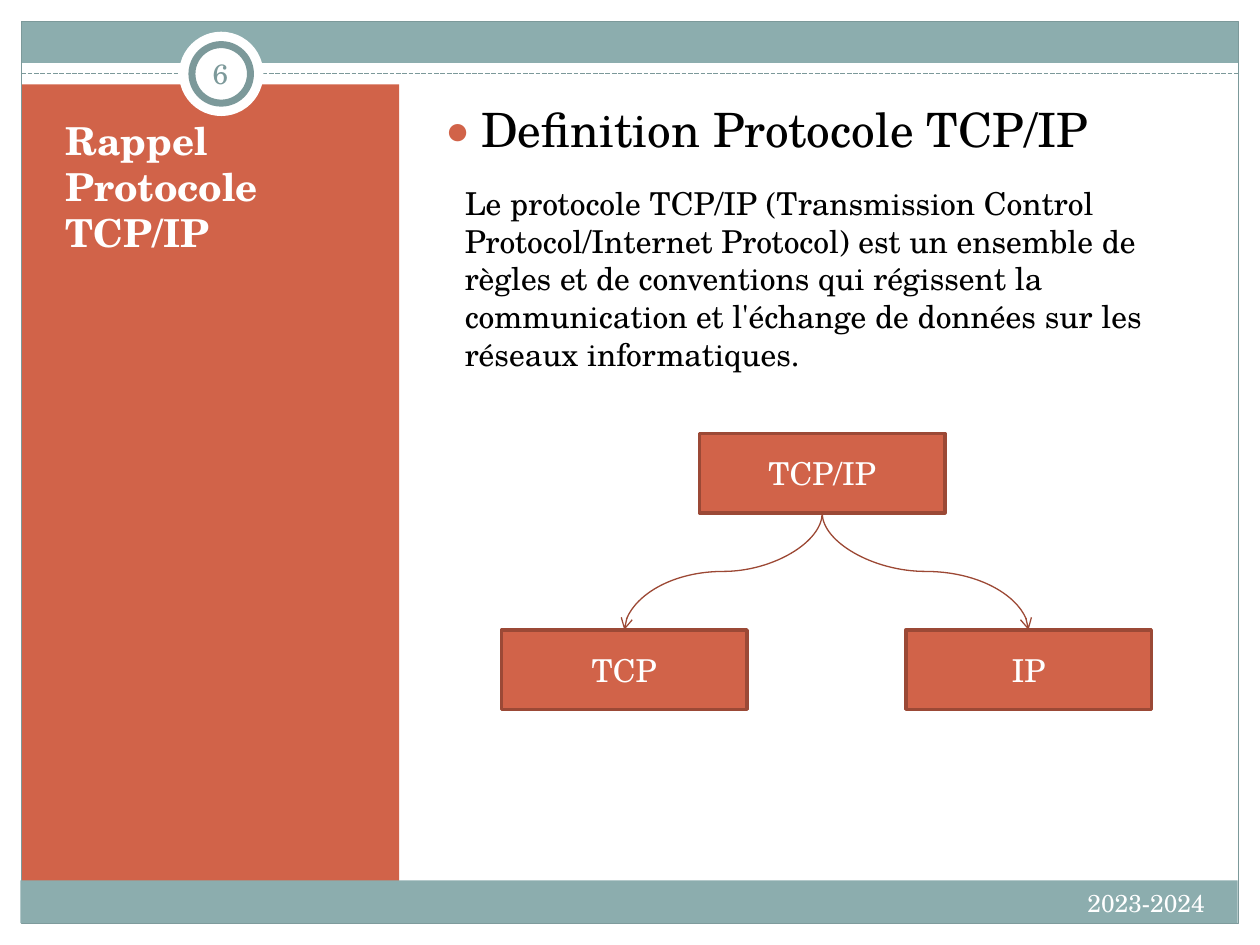
"""Build the TCP/IP reminder slide."""
from lxml import etree
from pptx import Presentation
from pptx import util as u
from pptx.dml.color import RGBColor
from pptx.enum import dml, shapes, text
from pptx.oxml.ns import qn

FONT = "TeX Gyre Schola"
TEAL, DARK_TEAL, RUST, DARK_RUST = "8CADAE", "7C999A", "D16349", "9B4936"
WHITE, BLACK = "FFFFFF", "000000"
RECT, OVAL = shapes.MSO_SHAPE.RECTANGLE, shapes.MSO_SHAPE.OVAL
LEFT, CENTER, RIGHT = text.PP_ALIGN.LEFT, text.PP_ALIGN.CENTER, text.PP_ALIGN.RIGHT
TOP, MIDDLE, BOTTOM = (text.MSO_ANCHOR.TOP, text.MSO_ANCHOR.MIDDLE,
                       text.MSO_ANCHOR.BOTTOM)
MARGINS = ("margin_left", "margin_top", "margin_right", "margin_bottom")
NODE_W, NODE_H = 4.95, 1.6


def color(target, value):
    """Give a colour format its hex value."""
    target.rgb = RGBColor.from_string(value)


def assign(target, values):
    """Set attributes from a dict of format values."""
    for name, value in values.items():
        setattr(target, name, value)


def place(item, box):
    """Set left, top, width and height in centimetres."""
    assign(item, dict(zip(("left", "top", "width", "height"), map(u.Cm, box))))


def write(item, words, size, ink, align=LEFT, anchor=TOP, bold=False, margin=None):
    """Write one formatted paragraph into a shape and return it."""
    frame = item.text_frame
    assign(frame, {"text": words, "word_wrap": True, "vertical_anchor": anchor,
                   "auto_size": text.MSO_AUTO_SIZE.NONE})
    if margin is not None:
        assign(frame, dict.fromkeys(MARGINS, u.Cm(margin)))
    paragraph = frame.paragraphs[0]
    paragraph.alignment = align
    font = paragraph.runs[0].font
    assign(font, {"name": FONT, "size": u.Pt(size), "bold": bold})
    color(font.color, ink)
    return paragraph


def stroke(line, ink, width):
    """Colour and size a line."""
    line.fill.solid()
    color(line.fill.fore_color, ink)
    line.width = u.Pt(width)


def add_block(slide, kind, box, fill=None, ink=None, width=0.75):
    """Add a flat preset shape."""
    block = slide.shapes.add_shape(kind, *map(u.Cm, box))
    block.shadow.inherit = False
    if fill:
        block.fill.solid()
        color(block.fill.fore_color, fill)
    else:
        block.fill.background()
    if ink:
        stroke(block.line, ink, width)
    else:
        block.line.fill.background()
    return block


def add_label(slide, box, words, size, ink, **style):
    """Add a text box and return its paragraph."""
    label = slide.shapes.add_textbox(*map(u.Cm, box))
    return write(label, words, size, ink, **style)


def add_bullet(paragraph, ink, indent):
    """Give a paragraph a hanging round bullet."""
    props = paragraph._p.get_or_add_pPr()
    props.set("marL", str(u.Cm(indent)))
    props.set("indent", str(-u.Cm(indent)))
    tint = etree.SubElement(props, qn("a:buClr"))
    etree.SubElement(tint, qn("a:srgbClr"), val=ink)
    etree.SubElement(props, qn("a:buSzPct"), val="85000")
    etree.SubElement(props, qn("a:buFont"), typeface=FONT)
    etree.SubElement(props, qn("a:buChar"), char="●")


def add_line(slide, kind, start, end, ink, width):
    """Add a connector without a shadow."""
    line = slide.shapes.add_connector(kind, *map(u.Cm, start + end))
    stroke(line.line, ink, width)
    etree.SubElement(line._element.spPr, qn("a:effectLst"))
    return line


def add_node(slide, left, top, words):
    """Add a diagram box."""
    node = add_block(slide, RECT, (left, top, NODE_W, NODE_H), RUST, DARK_RUST, 2)
    write(node, words, 18, WHITE, align=CENTER, anchor=MIDDLE)
    return node


def add_branch(slide, parent, child):
    """Join parent bottom to child top with a curved arrow."""
    start = (parent.left.cm + NODE_W / 2, parent.top.cm + NODE_H)
    end = (child.left.cm + NODE_W / 2, child.top.cm)
    branch = add_line(slide, shapes.MSO_CONNECTOR.CURVE, start, end, "9C4834", 0.75)
    branch.begin_connect(parent, 2)
    branch.end_connect(child, 0)
    drop, reach = end[1] - start[1], end[0] - start[0]
    middle = [(a + b) / 2 for a, b in zip(start, end)]
    place(branch, (middle[0] - drop / 2, middle[1] - abs(reach) / 2,
                   drop, abs(reach)))
    frame = branch._element.spPr.find(qn("a:xfrm"))
    frame.set("rot", str((90 if reach < 0 else 270) * 60000))
    frame.set("flipH", "0" if reach < 0 else "1")
    frame.set("flipV", "0")
    etree.SubElement(branch.line._get_or_add_ln(), qn("a:tailEnd"), type="arrow")


def add_frame(slide):
    """Draw the bands, side panel, border and number badge."""
    for box, fill in (((0.43, 0.43, 24.54, 0.84), TEAL),
                      ((0, 18.62, 25.4, 0.43), WHITE),
                      ((24.97, 0, 0.43, 19.05), WHITE),
                      ((0, 0, 25.4, 0.33), WHITE),
                      ((0, 0, 0.43, 19.05), WHITE),
                      ((0.43, 1.7, 7.62, 16.31), RUST)):
        add_block(slide, RECT, box, fill)
    add_block(slide, RECT, (0.43, 0.43, 24.54, 18.19), ink=DARK_TEAL)
    rule = add_line(slide, shapes.MSO_CONNECTOR.STRAIGHT, (0.43, 1.48),
                    (24.97, 1.48), DARK_TEAL, 0.9)
    rule.line.dash_style = dml.MSO_LINE.SQUARE_DOT
    add_block(slide, OVAL, (3.61, 0.64, 1.7, 1.7), WHITE)
    add_block(slide, OVAL, (3.87, 0.9, 1.18, 1.18), WHITE, DARK_TEAL, 4)
    add_block(slide, RECT, (0.41, 17.75, 24.54, 0.86), TEAL)


def add_texts(slide):
    """Write the title, heading, definition, number and year."""
    title = slide.shapes.title
    slide.shapes._spTree.append(title._element)
    place(title, (1.07, 2.54, 6.55, 2.74))
    write(title, "Rappel Protocole TCP/IP", 22, WHITE, anchor=BOTTOM, bold=True)
    heading = add_label(slide, (8.69, 1.9, 15.67, 15.04),
                        "Definition Protocole TCP/IP", 27, BLACK)
    add_bullet(heading, RUST, 0.76)
    add_label(slide, (3.81, 0.86, 1.27, 1.22), "6", 16, DARK_TEAL,
              align=CENTER, anchor=MIDDLE, margin=0.13)
    add_label(slide, (16.08, 17.78, 8.46, 1.02), "2023-2024", 14, WHITE, align=RIGHT)
    add_label(slide, (9.12, 3.58, 15.88, 3.33),
              "Le protocole TCP/IP (Transmission Control Protocol/Internet "
              "Protocol) est un ensemble de règles et de conventions qui "
              "régissent la communication et l'échange de données sur les "
              "réseaux informatiques.", 18, BLACK)


def main():
    """Build and save the slide."""
    deck = Presentation()
    assign(deck, {"slide_width": u.Cm(25.4), "slide_height": u.Cm(19.05)})
    slide = deck.slides.add_slide(deck.slide_layouts[5])
    add_frame(slide)
    add_texts(slide)
    suite = add_node(slide, 14.1, 8.74, "TCP/IP")
    for left, words in ((10.11, "TCP"), (18.26, "IP")):
        add_branch(slide, suite, add_node(slide, left, 12.7, words))
    deck.save("out.pptx")


main()
